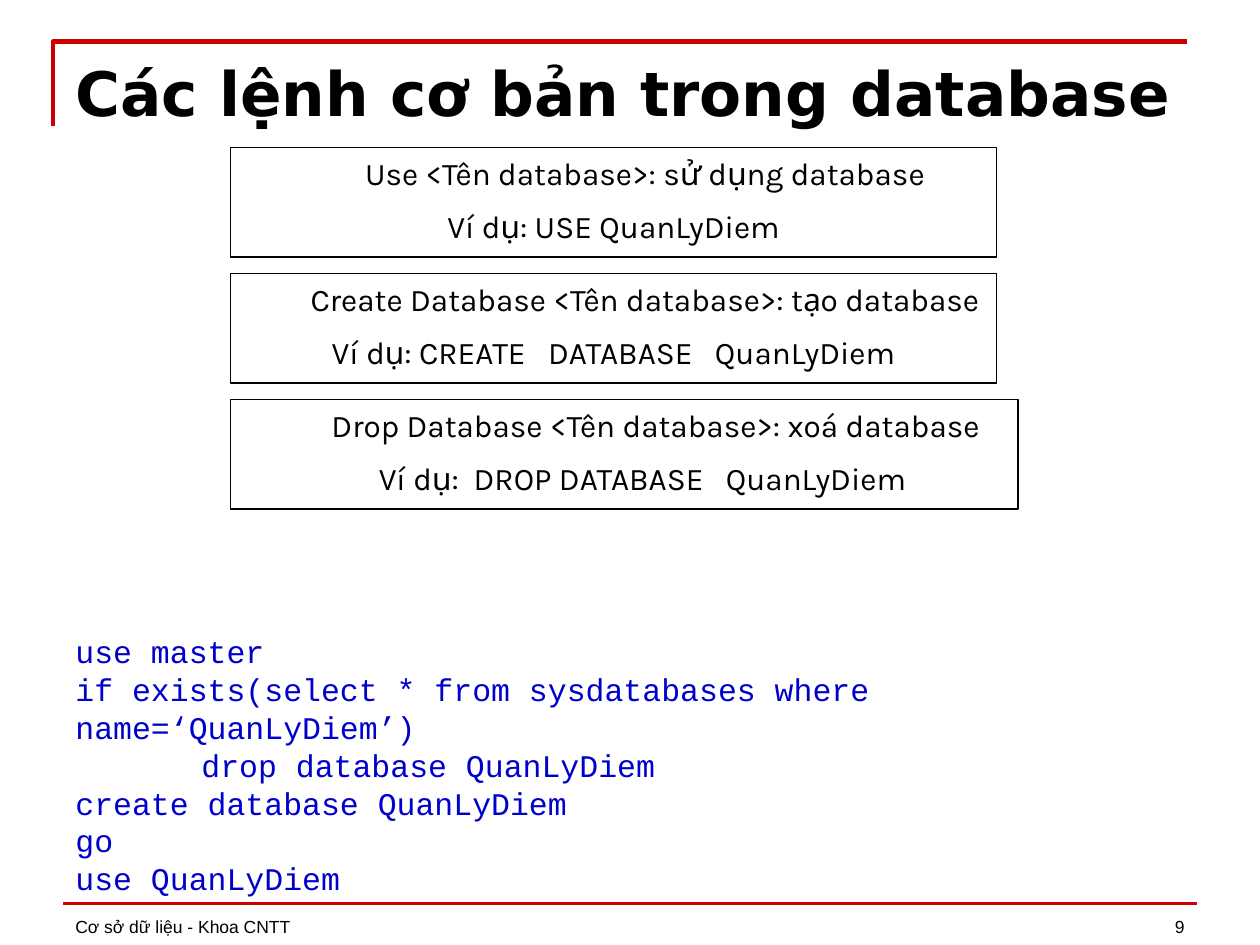
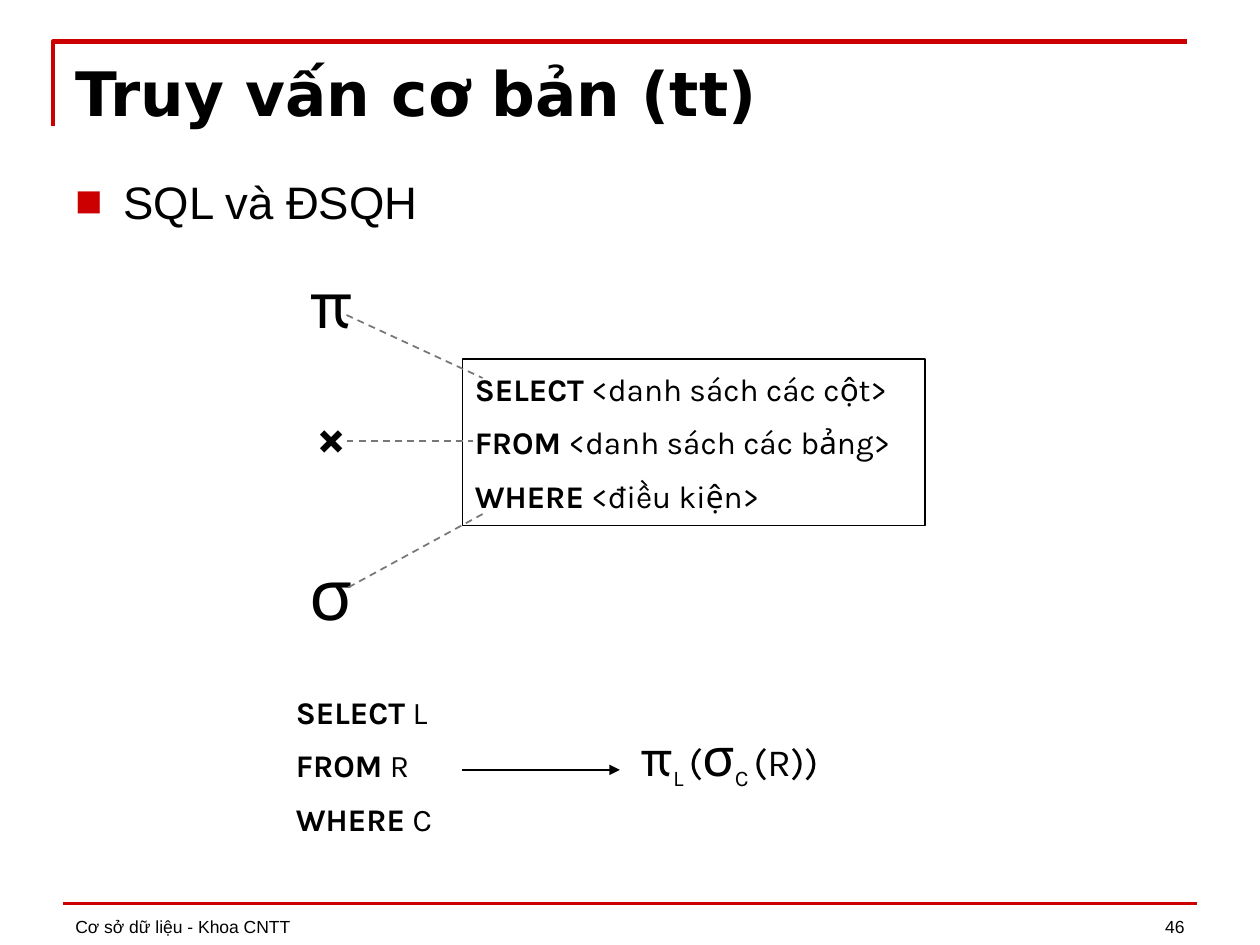
import pptx
import pptx.util
import pptx.dml.color
import pptx.enum.dml
import pptx.enum.shapes
import pptx.enum.text
import pptx.oxml
import pptx.oxml.ns
from dataclasses import dataclass
from lxml import etree

Inches, Pt = pptx.util.Inches, pptx.util.Pt
RGB = pptx.dml.color.RGBColor.from_string
ALIGN = pptx.enum.text.PP_ALIGN
ANCHOR = pptx.enum.text.MSO_ANCHOR
AUTO = pptx.enum.text.MSO_AUTO_SIZE
qn = pptx.oxml.ns.qn


@dataclass(frozen=True)
class Theme:
    ink: str = "000000"
    red: str = "CC0000"
    code: str = "0000CC"
    grey: str = "777777"
    title_font: str = "DejaVu Sans"
    body_font: str = "Arial"
    sql_font: str = "Karla"
    code_font: str = "Courier New"
    title: int = 35
    body: int = 26
    text: int = 18
    footer: int = 10
    symbol: int = 40
    formula: int = 30
    subscript: int = 22


T = Theme()
W, H = 10, 7.5
LEFT, WIDE = 0.5, 9
HANG = 0.38

FOOTER = "Cơ sở dữ liệu - Khoa CNTT"
TITLES = ["Các lệnh cơ bản trong database", "Truy vấn cơ bản (tt)"]
PAGES = ["9", "46"]

COMMANDS = [
    ("Use <Tên database>: sử dụng database", "Ví dụ: USE QuanLyDiem", 6.08, 0),
    ("Create Database <Tên database>: tạo database",
     "Ví dụ: CREATE   DATABASE   QuanLyDiem", 6.08, 0),
    ("Drop Database <Tên database>: xoá database",
     "Ví dụ:  DROP DATABASE   QuanLyDiem", 6.25, 0.29),
]
SCRIPT = [
    ("use master", 0),
    ("if exists(select * from sysdatabases where name=‘QuanLyDiem’)", 0),
    ("drop database QuanLyDiem", 1),
    ("create database QuanLyDiem", 0),
    ("go", 0),
    ("use QuanLyDiem", 0),
]

TOPIC = "SQL và ĐSQH"
CLAUSES = ["SELECT", "FROM", "WHERE"]
MEANINGS = ["<danh sách các cột>", "<danh sách các bảng>", "<điều kiện>"]
LETTERS = ["L", "R", "C"]
SYMBOLS = [("π", 2, 0.77, T.symbol, False),
           ("×", 3.15, 0.6, T.formula, True),
           ("σ", 4.32, 0.77, T.symbol, False)]
LINKS = [((2.75, 2.5), (3.83, 3)),
         ((2.75, 3.5), (3.75, 3.5)),
         ((3.83, 4.08), (2.75, 4.67))]
FORMULA = [("π", T.formula, 0), ("L ", T.subscript, -25), ("(", T.subscript, 0),
           ("σ", T.formula, 0), ("C ", T.subscript, -25), ("(R))", T.subscript, 0)]


def add_run(p, text, size, font, color=T.ink, bold=False, base=0):
    r = p.add_run()
    r.text = text
    r.font.size, r.font.name, r.font.bold = Pt(size), font, bold
    r.font.color.rgb = RGB(color)
    if base:
        r.font._element.set("baseline", str(base * 1000))


def paragraphs(tf, count, align=ALIGN.LEFT, before=0):
    ps = [tf.paragraphs[0]] + [tf.add_paragraph() for _ in range(count - 1)]
    for p in ps:
        p.alignment = align
        if before:
            space = etree.SubElement(p._p.get_or_add_pPr(), qn("a:spcBef"))
            etree.SubElement(space, qn("a:spcPct")).set("val", str(before * 1000))
    return ps


def indent(p, left, first=0):
    pPr = p._p.get_or_add_pPr()
    pPr.set("marL", str(Inches(left)))
    pPr.set("indent", str(Inches(first)))


def place(sp, x, y, w, h):
    sp.left, sp.top, sp.width, sp.height = map(Inches, (x, y, w, h))


def frame(sp, anchor=ANCHOR.TOP):
    tf = sp.text_frame
    tf.word_wrap, tf.auto_size, tf.vertical_anchor = True, AUTO.NONE, anchor
    return tf


def text_box(s, x, y, w, h, anchor=ANCHOR.TOP):
    return frame(s.shapes.add_textbox(*map(Inches, (x, y, w, h))), anchor)


def outlined_box(s, x, y, w, h, anchor=ANCHOR.TOP):
    sp = s.shapes.add_shape(pptx.enum.shapes.MSO_SHAPE.RECTANGLE,
                            *map(Inches, (x, y, w, h)))
    sp.shadow.inherit = False
    sp.fill.background()
    sp.line.color.rgb, sp.line.width = RGB(T.ink), Pt(1)
    return frame(sp, anchor)


def add_line(s, start, end, color, width=1, dashed=False, arrow=False):
    c = s.shapes.add_connector(pptx.enum.shapes.MSO_CONNECTOR.STRAIGHT,
                               *map(Inches, (*start, *end)))
    c.line.color.rgb, c.line.width = RGB(color), Pt(width)
    if dashed:
        c.line.dash_style = pptx.enum.dml.MSO_LINE.DASH
    if arrow:
        etree.SubElement(c.line._get_or_add_ln(), qn("a:tailEnd")).set("type", "triangle")
    etree.SubElement(c._element.spPr, qn("a:effectLst"))


def add_slide(prs, layout, title, page, title_height):
    s = prs.slides.add_slide(prs.slide_layouts[layout])
    fb = s.shapes.build_freeform(Inches(0.42), Inches(1))
    fb.add_line_segments([(Inches(0.42), Inches(0.33)), (Inches(9.42), Inches(0.33))],
                         close=False)
    corner = fb.convert_to_shape()
    corner.shadow.inherit = False
    corner.fill.background()
    corner.line.color.rgb, corner.line.width = RGB(T.red), Pt(2.5)
    add_line(s, (LEFT, 7.17), (LEFT + WIDE, 7.17), T.red, 2)
    for text, x, w, align in [(FOOTER, LEFT, 6.08, ALIGN.LEFT),
                              (page, 7.17, 2.33, ALIGN.RIGHT)]:
        tf = text_box(s, x, 6.99, w, 0.5, ANCHOR.BOTTOM)
        add_run(paragraphs(tf, 1, align)[0], text, T.footer, T.body_font)
    place(s.shapes.title, LEFT, 0.39, WIDE, title_height)
    tf = frame(s.shapes.title)
    add_run(paragraphs(tf, 1)[0], title, T.title, T.title_font, bold=True)
    return s


def add_clauses(tf, endings):
    for p, word, ending in zip(paragraphs(tf, 3, before=50), CLAUSES, endings):
        add_run(p, word, T.text, T.sql_font, bold=True)
        add_run(p, " " + ending, T.text, T.sql_font)


def commands_slide(prs):
    s = add_slide(prs, 5, TITLES[0], PAGES[0], 0.86)
    for row, (usage, example, w, shift) in enumerate(COMMANDS):
        tf = outlined_box(s, 1.83, 1.17 + row, w, 0.87)
        top, bottom = paragraphs(tf, 2, ALIGN.CENTER, 50)
        top.level = 1
        indent(top, HANG + 0.5, -HANG)
        indent(bottom, HANG + shift, -HANG)
        add_run(top, usage, T.text, T.sql_font)
        add_run(bottom, example, T.text, T.sql_font)
    tf = text_box(s, LEFT, 4.97, WIDE, 1.92)
    for p, (text, depth) in zip(paragraphs(tf, len(SCRIPT)), SCRIPT):
        indent(p, depth)
        add_run(p, text, T.text, T.code_font, T.code)


def query_slide(prs):
    s = add_slide(prs, 1, TITLES[1], PAGES[1], 0.68)
    add_clauses(outlined_box(s, 3.67, 2.85, 3.67, 1.32, ANCHOR.MIDDLE), MEANINGS)
    for text, y, h, size, bold in SYMBOLS:
        p = paragraphs(text_box(s, 2.17, y, 0.92, h), 1, ALIGN.CENTER, 50)[0]
        add_run(p, text, size, T.sql_font, bold=bold)
    for start, end in LINKS:
        add_line(s, start, end, T.grey, dashed=True)
    add_clauses(text_box(s, 2.25, 5.45, 1.58, 1.3), LETTERS)
    p = paragraphs(text_box(s, 4.75, 5.7, 2.08, 0.6), 1, ALIGN.CENTER, 50)[0]
    for text, size, base in FORMULA:
        add_run(p, text, size, T.sql_font, base=base)
    add_line(s, (3.67, 6.11), (4.92, 6.11), T.ink, arrow=True)

    body = s.placeholders[1]
    place(body, LEFT, 1.33, WIDE, 5.83)
    p = paragraphs(frame(body), 1, ALIGN.JUSTIFY, 20)[0]
    indent(p, HANG, -HANG)
    pPr = p._p.get_or_add_pPr()
    color = etree.SubElement(pPr, qn("a:buClr"))
    etree.SubElement(color, qn("a:srgbClr")).set("val", T.red)
    etree.SubElement(pPr, qn("a:buFont")).set("typeface", T.body_font)
    etree.SubElement(pPr, qn("a:buChar")).set("char", "■")
    add_run(p, TOPIC, T.body, T.body_font)


prs = pptx.Presentation()
prs.slide_width, prs.slide_height = Inches(W), Inches(H)
commands_slide(prs)
query_slide(prs)
prs.save("out.pptx")
